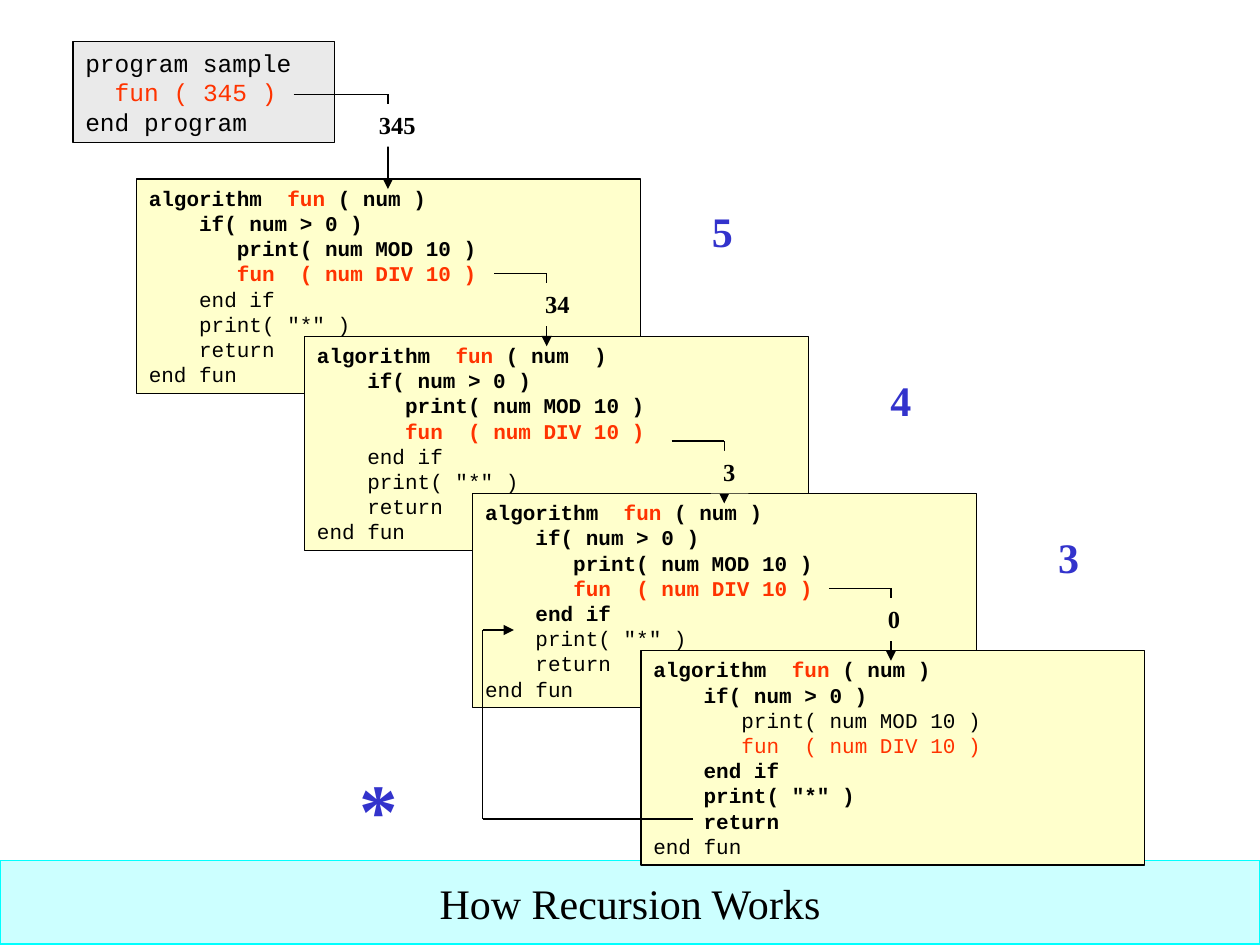
"""Build a slide that traces a recursive call through four stacked frames."""
import dataclasses
import typing

import lxml.etree
import pptx
import pptx.dml.color
import pptx.enum.shapes
import pptx.enum.text
import pptx.oxml.ns
import pptx.util

Cm = pptx.util.Cm
Align = pptx.enum.text.PP_ALIGN
Anchor = pptx.enum.text.MSO_ANCHOR


@dataclasses.dataclass(frozen=True)
class Theme:
    """Colours, fonts and type sizes of the slide."""
    ink: str = "000000"
    red: str = "FF3300"
    blue: str = "3333CC"
    cream: str = "FFFFCC"
    grey: str = "EAEAEA"
    white: str = "FFFFFF"
    aqua: str = "CCFFFF"
    cyan: str = "00FFFF"
    code: str = "Courier New"
    serif: str = "Times New Roman"
    small: float = 12
    mid: float = 14
    large: float = 24
    huge: float = 44
    stroke: float = 0.75


THEME = Theme()


class Run(typing.NamedTuple):
    """A stretch of text in one style."""
    text: str
    size: float
    font: str
    tint: str = THEME.ink
    bold: bool = False


class Box(typing.NamedTuple):
    """A place on the slide, in centimetres."""
    x: float
    y: float
    w: float
    h: float


class Call(typing.NamedTuple):
    """A call: its frame's bold lines, its arrow and the value passed."""
    bold: set[int]
    start: float
    turn: float
    y: float
    value: str
    left: float
    fill: str = THEME.cream
    head: str = "( num )"


class Output(typing.NamedTuple):
    """A printed digit and its place."""
    text: str
    x: float
    y: float


FRAME = Box(2.75, 3.61, 10.16, 4.32)
STEP_X, STEP_Y = 3.39, 3.17
GAP = 0.2

CALLS = [
    Call({0, 1, 2, 3}, 5.92, 7.82, 1.9, "345", 7.39, THEME.white),
    Call({0, 1, 2, 3}, 9.96, 11.02, 5.51, "34", 10.74, head="( num  )"),
    Call({0, 1, 2, 3, 4}, 13.54, 14.6, 8.89, "3", 14.33),
    Call({0, 1, 4, 5, 6}, 16.71, 17.96, 11.86, "0", 17.65),
]
OUTPUTS = [Output("5", 14.1, 4.01), Output("4", 17.7, 7.42), Output("3", 21.08, 10.59)]


def colour(tint: str) -> pptx.dml.color.RGBColor:
    """Turn a hex string into a colour."""
    return pptx.dml.color.RGBColor.from_string(tint)


def write(frame, lines: list[list[Run]], wrap: bool, align=Align.LEFT, anchor=Anchor.TOP) -> None:
    """Fill a text frame run by run."""
    frame.word_wrap = wrap
    frame.vertical_anchor = anchor
    for index, line in enumerate(lines):
        para = frame.paragraphs[0] if index == 0 else frame.add_paragraph()
        para.alignment = align
        for item in line:
            run = para.add_run()
            run.text = item.text
            run.font.size = pptx.util.Pt(item.size)
            run.font.name = item.font
            run.font.bold = item.bold
            run.font.color.rgb = colour(item.tint)


def panel(slide, box: Box, fill: str, edge: str | None, lines: list[list[Run]],
          wrap: bool = True, **place) -> None:
    """Draw a filled box with text."""
    shape = slide.shapes.add_shape(pptx.enum.shapes.MSO_SHAPE.RECTANGLE, *map(Cm, box))
    shape.shadow.inherit = False
    shape.fill.solid()
    shape.fill.fore_color.rgb = colour(fill)
    if edge:
        shape.line.color.rgb = colour(edge)
        shape.line.width = pptx.util.Pt(THEME.stroke)
    else:
        shape.line.fill.background()
    write(shape.text_frame, lines, wrap, **place)


def label(slide, box: Box, run: Run, **place) -> None:
    """Draw free text."""
    shape = slide.shapes.add_textbox(*map(Cm, box))
    write(shape.text_frame, [[run]], False, **place)


def route(slide, points: list[tuple[float, float]]) -> None:
    """Join points with straight lines, the last one with an arrowhead."""
    kind = pptx.enum.shapes.MSO_CONNECTOR.STRAIGHT
    for start, end in zip(points, points[1:]):
        line = slide.shapes.add_connector(kind, *map(Cm, start + end))
        line.line.color.rgb = colour(THEME.ink)
        line.line.width = pptx.util.Pt(THEME.stroke)
        props = line._element.spPr
        lxml.etree.SubElement(props, pptx.oxml.ns.qn("a:effectLst"))
        if end == points[-1]:
            stroke = props.find(pptx.oxml.ns.qn("a:ln"))
            lxml.etree.SubElement(stroke, pptx.oxml.ns.qn("a:tailEnd"), type="triangle")


def listing(call: Call) -> list[list[Run]]:
    """Return the code of one frame, with its active lines in bold."""
    rows = [
        [("algorithm  ", THEME.ink), ("fun ", THEME.red), (call.head, THEME.ink)],
        [("    if( num > 0 )", THEME.ink)],
        [("       print( num MOD 10 )", THEME.ink)],
        [("       ", THEME.ink), ("fun  ( num DIV 10 )", THEME.red)],
        [("    end if", THEME.ink)],
        [('    print( "*" )', THEME.ink)],
        [("    return", THEME.ink)],
        [("end fun", THEME.ink)],
    ]
    return [[Run(text, THEME.small, THEME.code, tint, index in call.bold) for text, tint in row]
            for index, row in enumerate(rows)]


def stage(slide, index: int, call: Call) -> None:
    """Draw one frame and the call that leads into it."""
    top = FRAME.y + index * STEP_Y
    panel(slide, Box(FRAME.x + index * STEP_X, top, FRAME.w, FRAME.h),
          THEME.cream, THEME.ink, listing(call))
    if index == 0:
        source(slide)
    route(slide, [(call.start, call.y), (call.turn, call.y), (call.turn, top + GAP)])
    panel(slide, Box(call.left, call.y + GAP, 0.51 + 0.25 * len(call.value), 0.86), call.fill, None,
          [[Run(call.value, THEME.mid, THEME.serif, bold=True)]], wrap=False)


def source(slide) -> None:
    """Draw the main program."""
    rows = [[("program sample", THEME.ink)],
            [("  ", THEME.ink), ("fun ( 345 )", THEME.red)],
            [("end program", THEME.ink)]]
    lines = [[Run(text, THEME.mid, THEME.code, tint) for text, tint in row] for row in rows]
    panel(slide, Box(1.47, 0.84, 5.28, 2.03), THEME.grey, THEME.ink, lines)


def main() -> None:
    """Build and save the slide."""
    deck = pptx.Presentation()
    deck.slide_width, deck.slide_height = Cm(25.4), Cm(19.05)
    slide = deck.slides.add_slide(deck.slide_layouts[6])
    panel(slide, Box(0, 17.35, 25.4, 1.68), THEME.aqua, THEME.cyan,
          [[Run("How Recursion Works", THEME.large, THEME.serif)]],
          wrap=False, align=Align.CENTER, anchor=Anchor.MIDDLE)
    for index, call in enumerate(CALLS):
        stage(slide, index, call)
    for item in OUTPUTS:
        label(slide, Box(item.x, item.y, 0.91, 1.27),
              Run(item.text, THEME.large, THEME.serif, THEME.blue, True))
    route(slide, [(13.97, 16.51), (9.73, 16.51), (9.73, 12.7), (10.36, 12.7)])
    label(slide, Box(6.45, 14.55, 2.36, 2.79), Run("*", THEME.huge, THEME.serif, THEME.blue, True),
          align=Align.CENTER, anchor=Anchor.BOTTOM)
    deck.save("out.pptx")


if __name__ == "__main__":
    main()
